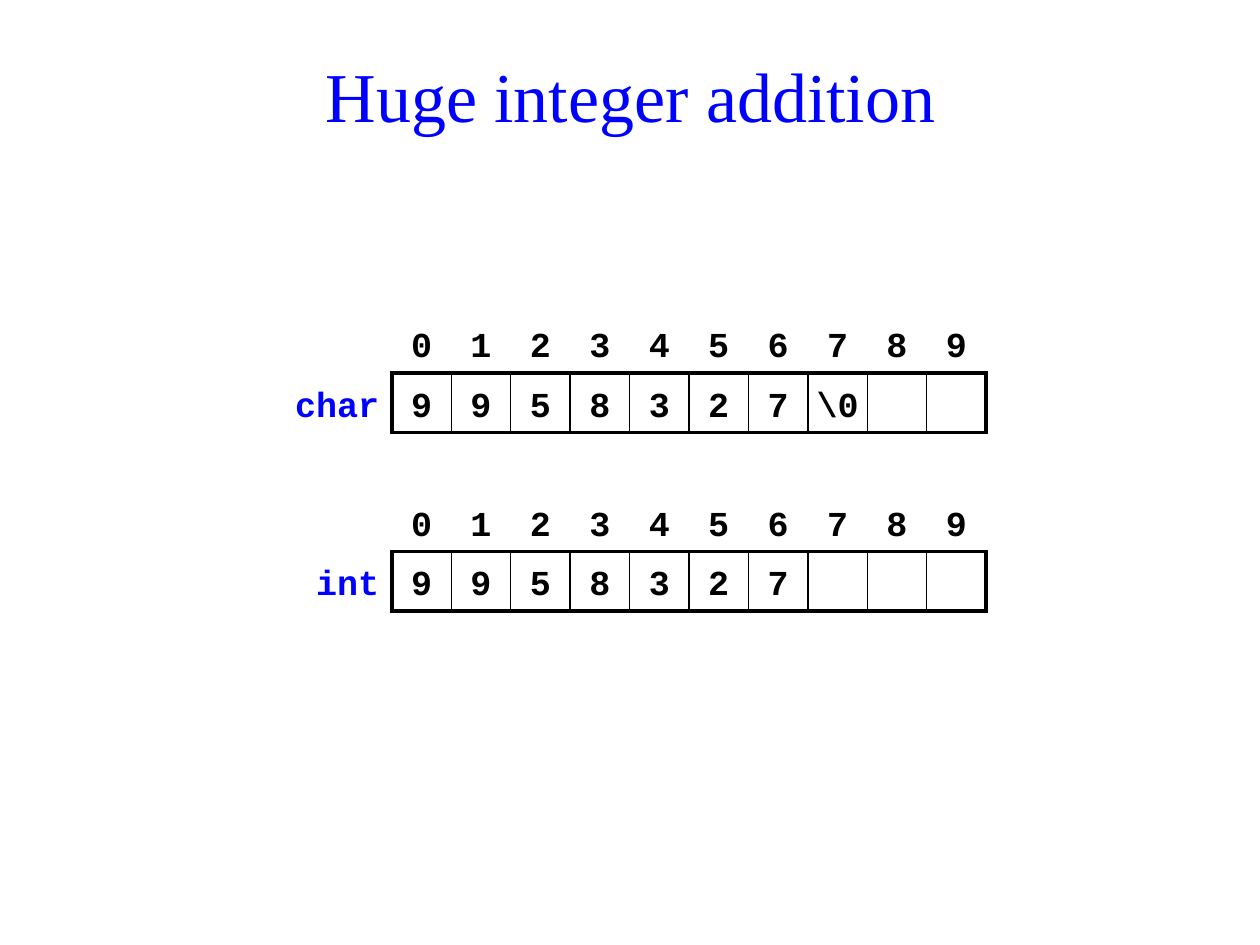
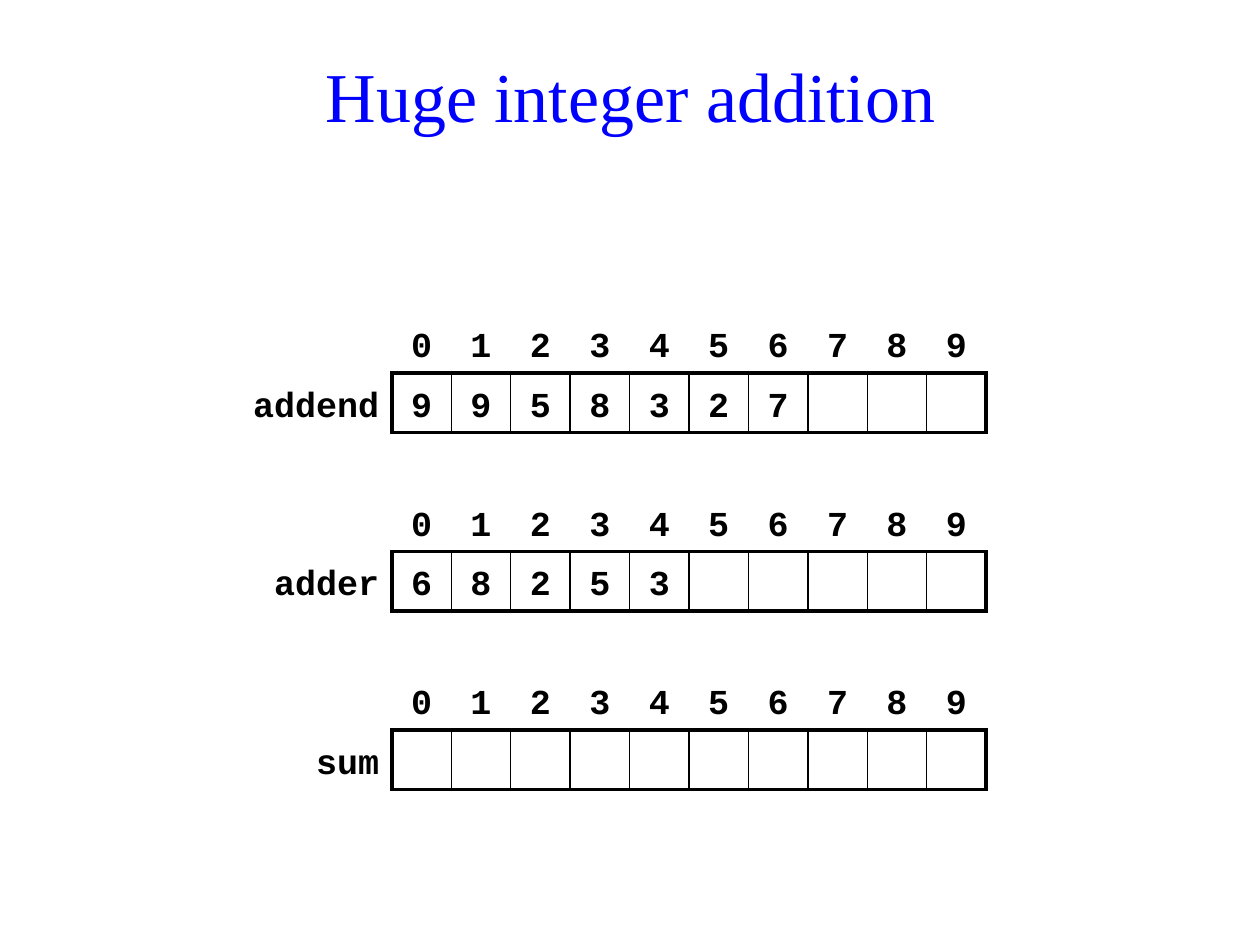
from lxml import etree
from pptx import Presentation
from pptx.dml.color import RGBColor
from pptx.enum import text
from pptx.oxml import ns
from pptx.util import Inches, Pt

COLORS = {"accent": "0000FF", "ink": "000000", "paper": "FFFFFF"}
TITLE_FONT, CODE_FONT = "Times New Roman", "Courier New"
LENGTH = 10
GRID_LEFT, GRID_TOP, GRID_WIDTH = Inches(3.11), Inches(2.49), Inches(4.72)
CELL = GRID_WIDTH // LENGTH
ARRAY_PITCH = 3 * CELL
THICK, THIN = Pt(2.25), Pt(1)

SLIDES = [
    ("Huge integer addition", "accent", [
        ("char", [*"9958327", "\\0"]),
        ("int", [*"9958327"]),
    ]),
    ("Huge integer addition", "ink", [
        ("addend", [*"9958327"]),
        ("adder", [*"68253"]),
        ("sum", []),
    ]),
]


def style_text(para, font, size, color, bold=False):
    for span in para.runs:
        span.font.name = font
        span.font.size = Pt(size)
        span.font.bold = bold
        span.font.color.rgb = RGBColor.from_string(COLORS[color])


def add_title(page, title, left, top, width, height):
    box = page.shapes.add_textbox(left, top, width, height)
    frame = box.text_frame
    frame.word_wrap = True
    frame.vertical_anchor = text.MSO_ANCHOR.MIDDLE
    frame.text = title
    para = frame.paragraphs[0]
    para.alignment = text.PP_ALIGN.CENTER
    style_text(para, TITLE_FONT, 40, "accent")


def set_borders(cell, widths):
    properties = cell._tc.get_or_add_tcPr()
    for index, side in enumerate("LRTB"):
        line = etree.Element(ns.qn(f"a:ln{side}"))
        if side in widths:
            line.set("w", str(widths[side]))
            fill = etree.SubElement(line, ns.qn("a:solidFill"))
            etree.SubElement(fill, ns.qn("a:srgbClr"), val=COLORS["ink"])
        else:
            etree.SubElement(line, ns.qn("a:noFill"))
        properties.insert(index, line)


def fill_cell(cell, value, color, align, side_margins, borders):
    cell.fill.background()
    cell.vertical_anchor = text.MSO_ANCHOR.MIDDLE
    cell.margin_left, cell.margin_right = side_margins
    cell.margin_top = cell.margin_bottom = Inches(0.02)
    cell.text_frame.text = value
    para = cell.text_frame.paragraphs[0]
    para.alignment = align
    para.line_spacing = 1.25
    style_text(para, CODE_FONT, 20, color, bold=True)
    set_borders(cell, borders)


def add_array(page, label, label_color, values, left, top):
    label_width = CELL * (len(label) + 2) // 3
    frame = page.shapes.add_table(2, LENGTH + 1, left - label_width, top,
                                  label_width + LENGTH * CELL, 2 * CELL)
    table = frame.table
    table.first_row = table.horz_banding = False
    for row in table.rows:
        row.height = CELL
    for column in table.columns:
        column.width = CELL
    table.columns[0].width = label_width

    center, margins = text.PP_ALIGN.CENTER, (Inches(0.1), Inches(0.1))
    fill_cell(table.cell(0, 0), "", "ink", center, margins, {})
    fill_cell(table.cell(1, 0), label, label_color, text.PP_ALIGN.RIGHT,
              (Inches(0.04), Inches(0.1)), {"R": THICK})
    for index in range(LENGTH):
        value = values[index] if index < len(values) else ""
        borders = {
            "L": THICK if index == 0 else THIN,
            "R": THICK if index == LENGTH - 1 else THIN,
            "T": THICK,
            "B": THICK,
        }
        fill_cell(table.cell(0, index + 1), str(index), "ink", center,
                  margins, {"B": THICK})
        fill_cell(table.cell(1, index + 1), value, "ink", center,
                  (0, 0) if len(value) > 1 else margins, borders)


def add_array_slide(deck, title, label_color, arrays):
    page = deck.slides.add_slide(deck.slide_layouts[6])
    page.background.fill.solid()
    page.background.fill.fore_color.rgb = RGBColor.from_string(COLORS["paper"])
    add_title(page, title, Inches(0.28), Inches(0.28), Inches(9.45), Inches(0.94))
    for index, (label, values) in enumerate(arrays):
        add_array(page, label, label_color, values,
                  GRID_LEFT, GRID_TOP + index * ARRAY_PITCH)


deck = Presentation()
deck.slide_width, deck.slide_height = Inches(10), Inches(7.5)
for title, label_color, arrays in SLIDES:
    add_array_slide(deck, title, label_color, arrays)
deck.save("out.pptx")
